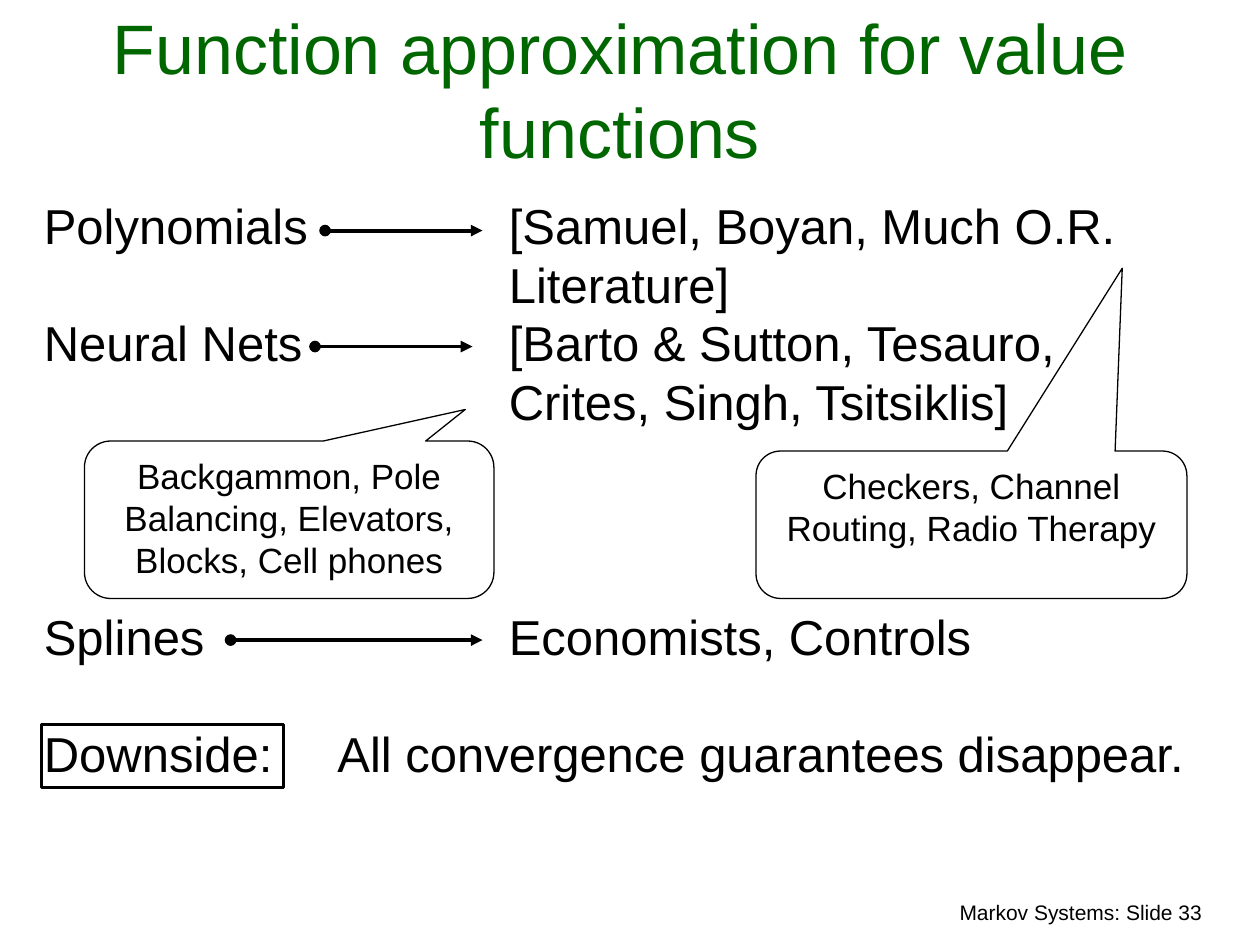
from lxml import etree
from pptx import Presentation
from pptx.dml.color import RGBColor
from pptx.enum.shapes import MSO_CONNECTOR, MSO_SHAPE
from pptx.enum.text import MSO_ANCHOR, PP_ALIGN
from pptx.oxml.ns import qn
from pptx.util import Inches, Pt

LEFT, MID, RIGHT = PP_ALIGN.LEFT, PP_ALIGN.CENTER, PP_ALIGN.RIGHT
TOP, BOTTOM = MSO_ANCHOR.TOP, MSO_ANCHOR.BOTTOM
RECT, BUBBLE = MSO_SHAPE.RECTANGLE, MSO_SHAPE.ROUNDED_RECTANGULAR_CALLOUT
STRAIGHT = MSO_CONNECTOR.STRAIGHT
COLORS = {"ink": "000000", "title": "006600"}
INK = RGBColor.from_string(COLORS["ink"])

prs = Presentation()
prs.slide_width, prs.slide_height = Inches(10), Inches(7.5)
slide = prs.slides.add_slide(prs.slide_layouts[6])
shapes = slide.shapes


def write(shape, lines, size, align, anchor=TOP, color="ink"):
    """Fill a shape with one paragraph per line and format it."""
    frame = shape.text_frame
    frame.word_wrap = True
    frame.vertical_anchor = anchor
    frame.text = "\n".join(lines)
    for para in frame.paragraphs:
        para.alignment = align
        for run in para.runs:
            run.font.name = "Arial"
            run.font.size = Pt(size)
            run.font.color.rgb = RGBColor.from_string(COLORS[color])
    return frame.paragraphs


def add_box(kind, x, y, w, h, width):
    """Add an unfilled outline shape."""
    box = shapes.add_shape(kind, Inches(x), Inches(y), Inches(w), Inches(h))
    box.shadow.inherit = False
    box.fill.background()
    box.line.color.rgb = INK
    box.line.width = Pt(width)
    return box


foot = shapes.add_textbox(Inches(5.72), Inches(7.09), Inches(3.92), Inches(0.3))
write(foot, ["Markov Systems: Slide 33"], 12, RIGHT)

title = shapes.add_textbox(Inches(0.17), Inches(0.25), Inches(9.5), Inches(1.17))
write(title, ["Function approximation for value functions"], 40, MID, BOTTOM, "title")

# Each row: text, blank lines above, hanging indent
ROWS = [
    ("Polynomials\t[Samuel, Boyan, Much O.R. Literature]", 0, 3.69),
    ("Neural Nets\t[Barto & Sutton, Tesauro, Crites, Singh, Tsitsiklis]", 0, 3.69),
    ("Splines\tEconomists, Controls", 3, 3.69),
    ("Downside:\tAll convergence guarantees disappear.", 1, 2.33),
]
LINE = 33.5
body = shapes.add_textbox(Inches(0.25), Inches(1.5), Inches(9.38), Inches(5.58))
paras = write(body, [row[0] for row in ROWS], 28, LEFT)
for para, (_, gap, hang) in zip(paras, ROWS):
    if gap:
        para.space_before = Pt(gap * LINE)
    props = para._p.get_or_add_pPr()
    props.set("marL", str(Inches(hang)))
    props.set("indent", str(-Inches(hang)))
    tabs = etree.SubElement(props, qn("a:tabLst"))
    for stop in (0, hang):
        etree.SubElement(tabs, qn("a:tab"), pos=str(Inches(stop)), algn="l")

add_box(RECT, 0.33, 5.75, 1.92, 0.5, 1.5)

# Arrows: start, end, height
for start, end, y in [(1.83, 3.83, 5.08), (2.58, 3.83, 1.83), (2.5, 3.75, 2.75)]:
    arrow = shapes.add_connector(STRAIGHT, Inches(start), Inches(y), Inches(end), Inches(y))
    arrow.line.color.rgb = INK
    arrow.line.width = Pt(2.25)
    line = arrow.line._get_or_add_ln()
    etree.SubElement(line, qn("a:headEnd"), type="oval")
    etree.SubElement(line, qn("a:tailEnd"), type="triangle")
    etree.SubElement(arrow._element.spPr, qn("a:effectLst"))

# Callouts: place, tip offset, text
CALLOUTS = [
    ((0.67, 3.5, 3.25, 1.25), (0.43, -0.7),
     "Backgammon, Pole Balancing, Elevators, Blocks, Cell phones"),
    ((6, 3.58, 3.42, 1.17), (0.35, -1.74),
     "Checkers, Channel Routing, Radio Therapy"),
]
for place, tip, text in CALLOUTS:
    note = add_box(BUBBLE, *place, 0.75)
    note.adjustments[0], note.adjustments[1] = tip
    write(note, [text], 20, MID)

prs.save("out.pptx")
